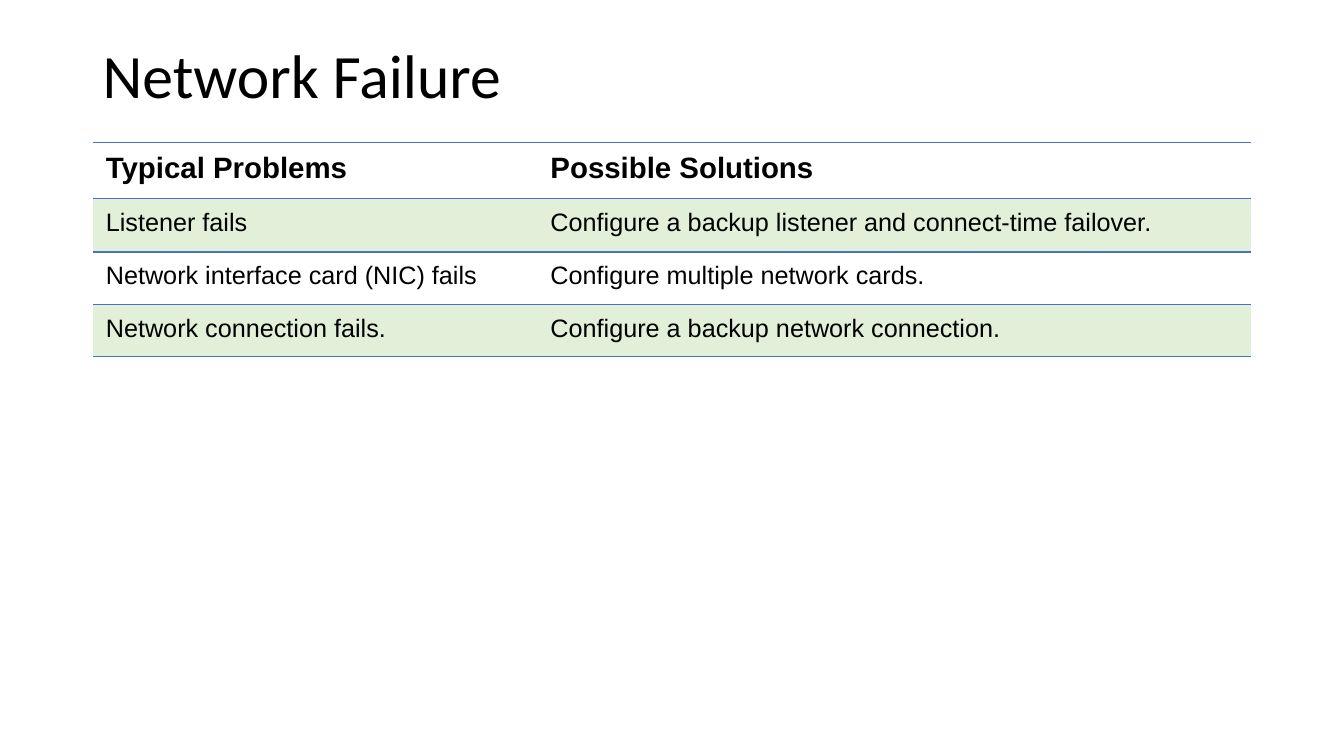
import pptx
import pptx.dml.color
import pptx.enum.text
import pptx.oxml
import pptx.oxml.ns
import pptx.util
from pptx.util import Inches

BLACK = "000000"
RULE_BLUE = "4472C4"
BAND_GREEN = "E2F0D9"
COLUMN_WIDTHS = [4.41, 7.08]
ROW_HEIGHTS = [0.56, 0.53, 0.52, 0.52]
FAILURES = [
    ("Typical Problems", "Possible Solutions"),
    ("Listener fails", "Configure a backup listener and connect-time failover."),
    ("Network interface card (NIC) fails", "Configure multiple network cards."),
    ("Network connection fails.", "Configure a backup network connection."),
]


def color(value):
    return pptx.dml.color.RGBColor.from_string(value)


def style_text(frame, font, size, bold=False):
    for para in frame.paragraphs:
        for span in para.runs:
            span.font.name = font
            span.font.size = pptx.util.Pt(size)
            span.font.bold = bold
            span.font.color.rgb = color(BLACK)


def add_title(page, text):
    box = page.shapes.add_textbox(Inches(0.92), Inches(0.4), Inches(11.5), Inches(1.45))
    frame = box.text_frame
    frame.word_wrap = True
    frame.vertical_anchor = pptx.enum.text.MSO_ANCHOR.TOP
    frame.text = text
    frame.paragraphs[0].line_spacing = 0.9
    style_text(frame, "Calibri", 44)


def set_borders(cell):
    properties = cell._tc.get_or_add_tcPr()
    rule = f'<a:solidFill><a:srgbClr val="{RULE_BLUE}"/></a:solidFill>'
    sides = {"lnL": "<a:noFill/>", "lnR": "<a:noFill/>", "lnT": rule, "lnB": rule}
    for side, line in sides.items():
        properties.append(pptx.oxml.parse_xml(
            f'<a:{side} {pptx.oxml.ns.nsdecls("a")} w="12700">{line}</a:{side}>'))


def fill_cell(cell, text, row):
    cell.margin_left = cell.margin_right = Inches(0.13)
    cell.margin_top = cell.margin_bottom = Inches(0.1)
    cell.text_frame.text = text
    header = row == 0
    style_text(cell.text_frame, "Arial", 21 if header else 18, header)
    set_borders(cell)
    if row % 2:
        cell.fill.solid()
        cell.fill.fore_color.rgb = color(BAND_GREEN)
    else:
        cell.fill.background()


def add_failure_table(page):
    frame = page.shapes.add_table(
        len(ROW_HEIGHTS), len(COLUMN_WIDTHS), Inches(0.92), Inches(1.41),
        Inches(sum(COLUMN_WIDTHS)), Inches(sum(ROW_HEIGHTS)))
    table = frame.table
    table.first_row = table.horz_banding = False
    for column, width in zip(table.columns, COLUMN_WIDTHS):
        column.width = Inches(width)
    for row, height in enumerate(ROW_HEIGHTS):
        table.rows[row].height = Inches(height)
        for column, text in enumerate(FAILURES[row]):
            fill_cell(table.cell(row, column), text, row)


def main():
    deck = pptx.Presentation()
    deck.slide_width = Inches(13.33)
    deck.slide_height = Inches(7.5)
    page = deck.slides.add_slide(deck.slide_layouts[6])
    add_title(page, "Network Failure")
    add_failure_table(page)
    deck.save("out.pptx")


if __name__ == "__main__":
    main()
